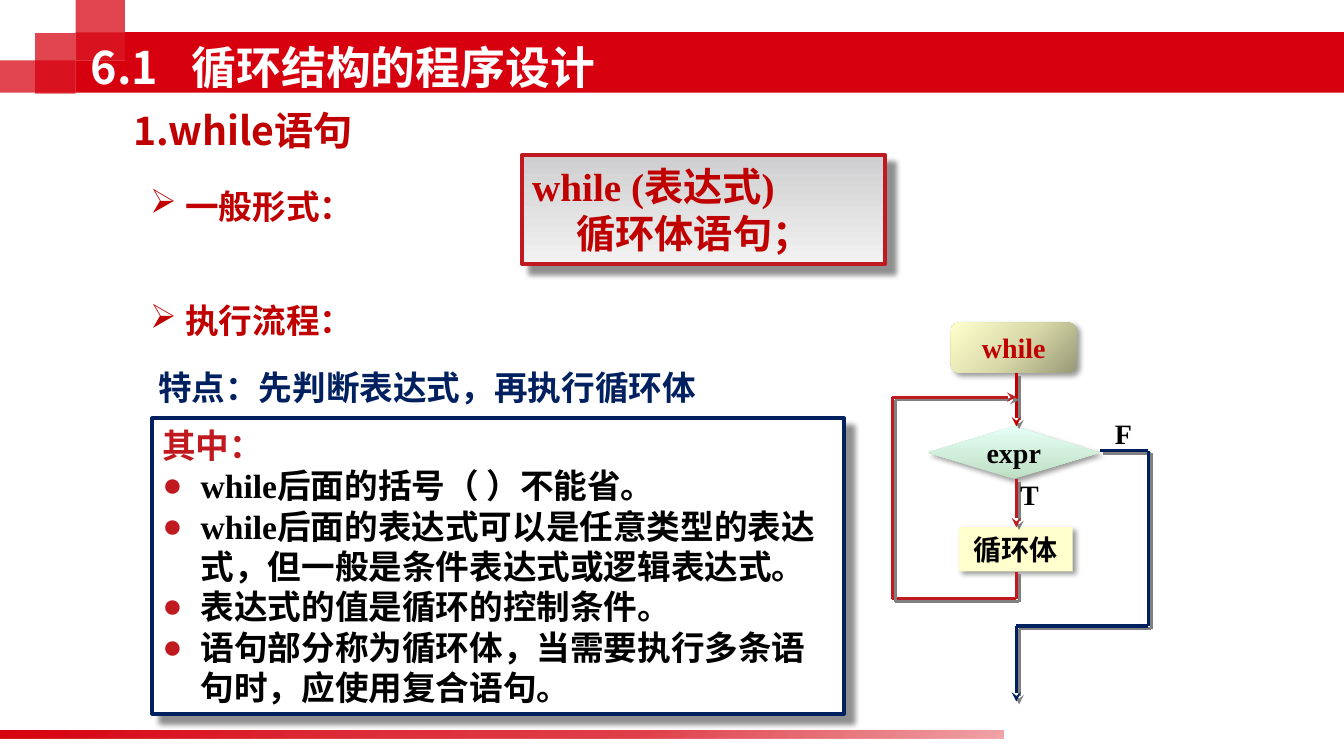
from lxml import etree
from pptx import Presentation, util as u
from pptx.dml.color import RGBColor
from pptx.enum import shapes, text
from pptx.oxml import ns

Inches, Pt = u.Inches, u.Pt
KIND = shapes.MSO_SHAPE
BANNER = RGBColor(0xD7, 0x00, 0x0F)
RED = RGBColor(0xC0, 0x00, 0x00)
CRIMSON = RGBColor(0xC0, 0x19, 0x20)
NAVY = RGBColor(0x00, 0x20, 0x60)
BLACK = RGBColor(0x00, 0x00, 0x00)
WHITE = RGBColor(0xFF, 0xFF, 0xFF)
CREAM = RGBColor(0xFF, 0xFF, 0xCD)
GRAY = RGBColor(0x80, 0x80, 0x80)
SANS, SERIF = "Noto Sans CJK SC", "Times New Roman"
LEFT, CENTER = text.PP_ALIGN.LEFT, text.PP_ALIGN.CENTER

# Shadows: colour, opacity in percent, blur and distance in points
PANEL_SHADOW = (BLACK, 43, 4, 8.4)
NODE_SHADOW = (BLACK, 40, 4, 3)
LINE_SHADOW = (GRAY, 100, 0, 2.8)


def paint(shape, fill=None, angle=0, shadow=None):
    """Fill with one colour or with (position, colour, opacity) stops, and add a shadow."""
    if isinstance(fill, list):
        shape.fill.gradient()
        shape.fill.gradient_angle = (360 - angle) % 360
        stops = shape._element.spPr.find(".//" + ns.qn("a:gsLst"))
        for stop in list(stops):
            stops.remove(stop)
        for position, color, opacity in fill:
            stop = etree.SubElement(stops, ns.qn("a:gs"), pos=str(position * 1000))
            tint = etree.SubElement(stop, ns.qn("a:srgbClr"), val=str(color))
            etree.SubElement(tint, ns.qn("a:alpha"), val=str(opacity * 1000))
    elif fill is not None:
        shape.fill.solid()
        shape.fill.fore_color.rgb = fill
    effects = shape._element.spPr.find(ns.qn("a:effectLst"))
    if effects is None:
        effects = etree.SubElement(shape._element.spPr, ns.qn("a:effectLst"))
    if shadow:
        color, opacity, blur, distance = shadow
        outer = etree.SubElement(effects, ns.qn("a:outerShdw"), blurRad=str(Pt(blur)),
                                 dist=str(Pt(distance)), dir="2700000", algn="ctr", rotWithShape="0")
        tint = etree.SubElement(outer, ns.qn("a:srgbClr"), val=str(color))
        etree.SubElement(tint, ns.qn("a:alpha"), val=str(opacity * 1000))


def write(shape, lines, size, font, align=LEFT, wrap=True):
    """Write lines of (text, colour, left indent, bullet, tab stop); the last three are optional."""
    frame = shape.text_frame
    settings = {"word_wrap": wrap, "auto_size": text.MSO_AUTO_SIZE.NONE,
                "vertical_anchor": text.MSO_ANCHOR.MIDDLE}
    for name, value in settings.items():
        setattr(frame, name, value)
    for number, line in enumerate(lines):
        words, color, indent, bullet, tab = (line + (0, None, None))[:5] if len(line) == 2 else line
        para = frame.paragraphs[0] if number == 0 else frame.add_paragraph()
        props = para._p.get_or_add_pPr()
        props.set("marL", str(Inches(indent)))
        props.set("indent", str(-Inches(indent) if bullet else 0))
        if bullet:
            tint = etree.SubElement(props, ns.qn("a:buClr"))
            etree.SubElement(tint, ns.qn("a:srgbClr"), val=str(CRIMSON if bullet == "●" else RED))
            etree.SubElement(props, ns.qn("a:buChar"), char=bullet)
        else:
            etree.SubElement(props, ns.qn("a:buNone"))
        if tab:
            tabs = etree.SubElement(props, ns.qn("a:tabLst"))
            etree.SubElement(tabs, ns.qn("a:tab"), pos=str(Inches(tab)), algn="l")
        para.alignment = align
        para.space_before = Pt(0)
        span = para.add_run()
        span.text = words
        for name, value in {"size": Pt(size), "bold": True, "name": font}.items():
            setattr(span.font, name, value)
        span.font.color.rgb = color
        etree.SubElement(span._r.get_or_add_rPr(), ns.qn("a:ea"), typeface=SANS)


deck = Presentation()
deck.slide_width, deck.slide_height = Inches(13.33), Inches(7.5)
page = deck.slides.add_slide(deck.slide_layouts[1])
title, notes = page.shapes.title, page.placeholders[1]

# Banner, corner squares and footer strip
strip = [(0, BANNER, 100), (31, BANNER, 84), (64, BANNER, 75), (100, BANNER, 36)]
veil = [(0, BANNER, 73), (100, BANNER, 73)]
for box, fill, angle in [
    ((0, 0.6, 0.75, 0.32), veil, 0),
    ((0.35, 0.33, 0.4, 0.6), veil, 0),
    ((0.75, 0, 0.49, 0.6), veil, 0),
    ((0.75, 0.32, 0.49, 0.28), veil, 0),
    ((0.75, 0.6, 0.49, 0.32), BANNER, 0),
    ((1.24, 0.32, 12.09, 0.6), BANNER, 0),
    ((0, 7.25, 9.95, 0.08), strip, 40),
]:
    block = page.shapes.add_shape(KIND.RECTANGLE, *map(Inches, box))
    block.line.fill.background()
    paint(block, fill, angle)

# Title and list placeholders, brought in front of the banner
for holder, box in [(title, (0.8, 0.33, 8.9, 0.67)), (notes, (1.51, 4.15, 6.86, 2.93))]:
    holder.left, holder.top, holder.width, holder.height = map(Inches, box)
    holder._element.getparent().append(holder._element)
write(title, [("6.1\t循环结构的程序设计", WHITE, 0, None, 0.97)], 32, SANS)

points = ["while后面的括号（ ）不能省。",
          "while后面的表达式可以是任意类型的表达式，但一般是条件表达式或逻辑表达式。",
          "表达式的值是循环的控制条件。",
          "语句部分称为循环体，当需要执行多条语句时，应使用复合语句。"]
write(notes, [("其中：", CRIMSON)] + [(point, BLACK, 0.38, "●", None) for point in points], 24, SERIF)
notes.line.color.rgb, notes.line.width = NAVY, Pt(3)
paint(notes, WHITE, shadow=PANEL_SHADOW)

# Syntax panel
syntax = page.shapes.add_shape(KIND.RECTANGLE, *map(Inches, (5.18, 1.54, 3.6, 1.08)))
syntax.line.color.rgb, syntax.line.width = CRIMSON, Pt(3)
paint(syntax, [(0, RGBColor(0xCF, 0xCF, 0xD1), 100), (100, RGBColor(0xF2, 0xF2, 0xF2), 100)],
      90, PANEL_SHADOW)
write(syntax, [("while (表达式)", RED), ("循环体语句；", RED, 0.44, None, None)], 28, SERIF)

# Flowchart nodes
mint = [(0, RGBColor(0xBE, 0xDF, 0xC4), 100), (100, RGBColor(0xE5, 0xFF, 0xF5), 100)]
olive = [(0, RGBColor(0x99, 0x99, 0x77), 100), (50, RGBColor(0xDA, 0xDA, 0xAA), 100),
         (100, CREAM, 100)]
for kind, box, fill, angle, label, color, font in [
    (KIND.FLOWCHART_ALTERNATE_PROCESS, (9.43, 3.2, 1.25, 0.5), olive, 225, "while", RED, SERIF),
    (KIND.FLOWCHART_DECISION, (9.2, 4.23, 1.71, 0.52), mint, 270, "expr", BLACK, SERIF),
    (KIND.RECTANGLE, (9.51, 5.23, 1.13, 0.44), CREAM, 0, "循环体", BLACK, SANS),
]:
    node = page.shapes.add_shape(kind, *map(Inches, box))
    node.line.fill.background()
    paint(node, fill, angle, NODE_SHADOW)
    write(node, [(label, color)], 20, font, CENTER, wrap=False)

# Flowchart routes, each ending in an arrowhead
for color, route in [
    (RED, [(10.08, 3.7), (10.08, 4.23)]),
    (CRIMSON, [(10.08, 4.75), (10.08, 5.23)]),
    (CRIMSON, [(10.08, 5.67), (10.08, 5.94), (8.85, 5.94), (8.85, 3.94), (10.08, 3.94)]),
    (NAVY, [(10.91, 4.47), (11.39, 4.47), (11.39, 6.21), (10.08, 6.21), (10.08, 6.96)]),
]:
    for start, end in zip(route, route[1:]):
        line = page.shapes.add_connector(shapes.MSO_CONNECTOR.STRAIGHT, *map(Inches, start + end))
        line.line.color.rgb, line.line.width = color, Pt(2.25)
        if end == route[-1]:
            etree.SubElement(line.line._get_or_add_ln(), ns.qn("a:tailEnd"), type="stealth")
        paint(line, shadow=LINE_SHADOW)

# Headings and branch labels
for box, line, size, font in [
    ((1.23, 1, 2.99, 0.57), ("1.while语句", RED), 28, SANS),
    ((1.39, 1.79, 2.68, 0.5), ("一般形式：", RED, 0.35, "➢", None), 24, SANS),
    ((1.39, 2.93, 2.68, 0.5), ("执行流程：", RED, 0.35, "➢", None), 24, SANS),
    ((1.47, 3.59, 6.86, 0.5), ("特点：先判断表达式，再执行循环体", NAVY), 24, SERIF),
    ((10.02, 4.69, 0.54, 0.43), ("T", BLACK), 20, SERIF),
    ((10.96, 4.08, 0.37, 0.43), ("F", BLACK), 20, SERIF),
]:
    write(page.shapes.add_textbox(*map(Inches, box)), [line], size, font)

deck.save("out.pptx")
